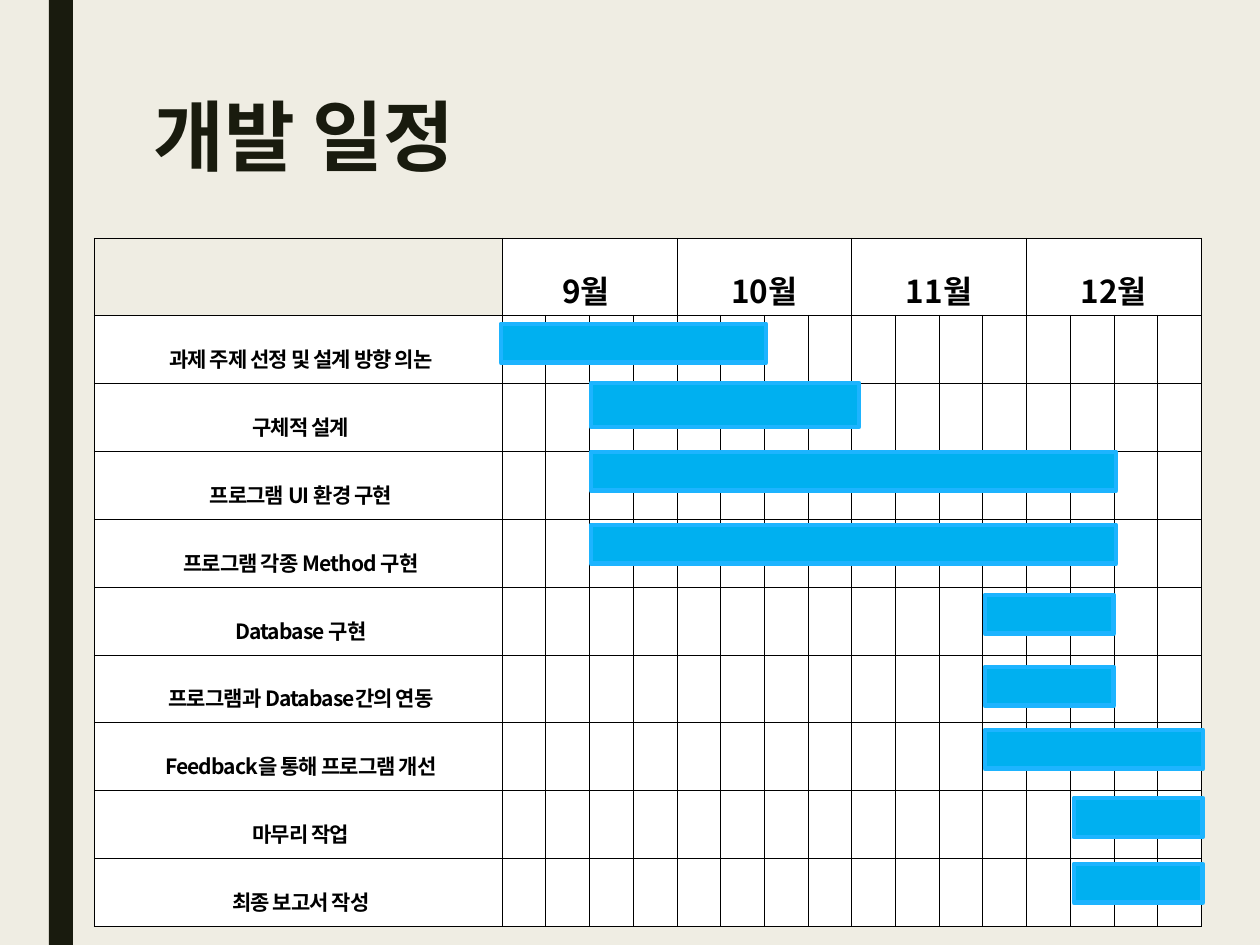
"""Build the development schedule slide with its Gantt table."""
from lxml import etree
from pptx import Presentation
from pptx import util as u
from pptx.dml.color import RGBColor
from pptx.enum import shapes, text
from pptx.oxml.ns import qn

TITLE = "개발 일정"
MONTHS = ["9월 ", "10월", "11월", "12월"]
TASKS = [
    ("과제 주제 선정 및 설계 방향 의논", (501, 324, 265, 39)),
    ("구체적 설계", (591, 383, 268, 44)),
    ("프로그램 UI 환경 구현", (591, 452, 525, 39)),
    ("프로그램 각종 Method 구현", (591, 525, 525, 39)),
    ("Database 구현", (985, 595, 129, 39)),
    ("프로그램과 Database간의 연동", (985, 667, 129, 39)),
    ("Feedback을 통해 프로그램 개선", (985, 730, 218, 39)),
    ("마무리 작업", (1074, 798, 129, 39)),
    ("최종 보고서 작성", (1074, 864, 129, 39)),
]

THEME = {
    "font": "Noto Sans CJK KR",
    "bg": "EFEDE3", "dark": "191B0E", "cell": "FFFFFF", "ink": "000000",
    "bar": "00B0F0", "bar_line": "1DB4FF",
    "title": 44, "month": 18, "task": 12, "border": 0.28, "bar_width": 2.75,
}
SCALE = 914400 / 126
WEEKS = 4
LABEL_W, MONTH_W, ROW_H = 408, 175, 68
TABLE_LEFT, TABLE_TOP = 94, 238


def px(n):
    return u.Emu(round(n * SCALE))


def box(*lengths):
    return [px(n) for n in lengths]


def color(name):
    return RGBColor.from_string(THEME[name])


def write(tf, words, size, ink="ink", align=None, spacing=1.6, indent=0, track=0):
    p = tf.paragraphs[0]
    p.alignment, p.line_spacing = align, spacing
    if indent:
        pPr = p._p.get_or_add_pPr()
        pPr.set("marL", str(px(indent)))
        pPr.set("indent", "0")
    r = p.add_run()
    r.text = words
    r.font.size, r.font.bold = u.Pt(THEME[size]), True
    r.font.name = THEME["font"]
    r.font.color.rgb = color(ink)
    rPr = r._r.get_or_add_rPr()
    etree.SubElement(rPr, qn("a:ea"), typeface=THEME["font"])
    if track:
        rPr.set("spc", str(track))


def add_bar(slide, bounds, fill, line=None):
    sp = slide.shapes.add_shape(shapes.MSO_SHAPE.RECTANGLE, *box(*bounds))
    sp.shadow.inherit = False
    sp.fill.solid()
    sp.fill.fore_color.rgb = color(fill)
    if line:
        sp.line.color.rgb = color(line)
        sp.line.width = u.Pt(THEME["bar_width"])
    else:
        sp.line.fill.background()


def style_cell(cell, filled):
    tcPr = cell._tc.get_or_add_tcPr()
    for side in ("lnL", "lnR", "lnT", "lnB"):
        ln = etree.SubElement(tcPr, qn("a:" + side), w=str(u.Pt(THEME["border"])))
        fill = etree.SubElement(ln, qn("a:solidFill"))
        etree.SubElement(fill, qn("a:srgbClr"), val=THEME["ink"])
    if filled:
        cell.fill.solid()
        cell.fill.fore_color.rgb = color("cell")
    else:
        cell.fill.background()
    cell.vertical_anchor = text.MSO_ANCHOR.MIDDLE
    cell.margin_left = cell.margin_right = px(9)
    cell.margin_top = cell.margin_bottom = px(2)


def add_schedule(slide):
    rows, cols = len(TASKS) + 1, len(MONTHS) * WEEKS + 1
    size = (LABEL_W + MONTH_W * len(MONTHS), ROW_H * rows)
    table = slide.shapes.add_table(
        rows, cols, *box(TABLE_LEFT, TABLE_TOP, *size)).table
    for i, col in enumerate(table.columns):
        col.width = px(MONTH_W / WEEKS if i else LABEL_W)
    for row in table.rows:
        row.height = px(ROW_H)
    for i in range(rows):
        for j in range(cols):
            style_cell(table.cell(i, j), filled=i + j > 0)
    center = text.PP_ALIGN.CENTER
    for i, month in enumerate(MONTHS):
        first = 1 + i * WEEKS
        cell = table.cell(0, first)
        cell.merge(table.cell(0, first + WEEKS - 1))
        write(cell.text_frame, month, "month", align=center)
    for i, (task, _) in enumerate(TASKS, 1):
        write(table.cell(i, 0).text_frame, task, "task", align=center,
              indent=6, track=-50)


def main():
    prs = Presentation()
    prs.slide_width, prs.slide_height = box(1260, 945)
    slide = prs.slides.add_slide(prs.slide_layouts[6])
    slide.background.fill.solid()
    slide.background.fill.fore_color.rgb = color("bg")
    add_bar(slide, (49, 0, 24, 945), "dark")
    add_schedule(slide)
    tf = slide.shapes.add_textbox(*box(141, 94, 993, 204)).text_frame
    tf.word_wrap = True
    write(tf, TITLE, "title", ink="dark", spacing=0.89)
    for _, bounds in TASKS:
        add_bar(slide, bounds, "bar", "bar_line")
    prs.save("out.pptx")


main()
